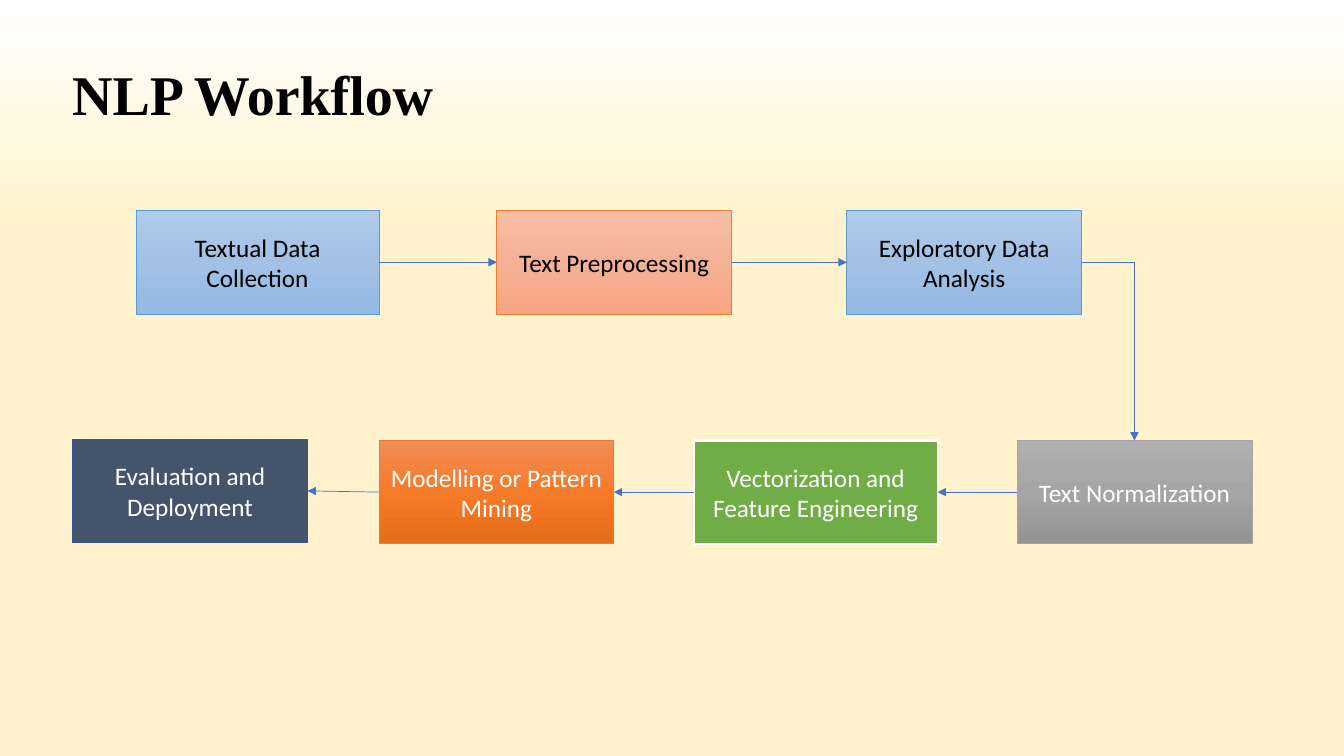
from lxml.etree import SubElement
from pptx import Presentation
from pptx.dml.color import RGBColor as RGB
from pptx.enum.shapes import MSO_CONNECTOR as LINK, MSO_SHAPE as SHAPE
from pptx.enum.text import MSO_ANCHOR as ANCHOR, PP_ALIGN as ALIGN
from pptx.oxml.ns import qn
from pptx.util import Cm, Pt

HEX = {
    "black": "000000", "white": "FFFFFF", "cream": "FFF2CC", "arrow": "4472C4",
    "blue": "5B9BD5", "orange": "ED7D31", "gray": "A5A5A5",
    "green": "70AD47", "slate": "44546A", "navy": "325491",
}
SKY = ["B1CBE9", "A3C1E5", "93B9E4"]
PEACH = ["F7BDA5", "F5B196", "F8A582"]
STEEL = ["AFAFAF", "A5A5A5", "939393"]
FLAME = ["F18C57", "F67B28", "E56C19"]


def blend(fill, root, stops, angle):
    """Fill with a gradient of (percent, colour) stops."""
    fill.gradient()
    fill.gradient_angle = angle
    ramp = root.find(".//" + qn("a:gsLst"))
    for old in list(ramp):
        ramp.remove(old)
    for pos, tone in stops:
        stop = SubElement(ramp, qn("a:gs"), pos=str(pos * 1000))
        SubElement(stop, qn("a:srgbClr"), val=tone)


def write(frame, text, form, tone, align, space):
    """Put one styled paragraph into a text frame."""
    frame.word_wrap = True
    frame.vertical_anchor = ANCHOR.MIDDLE
    para = frame.paragraphs[0]
    para.alignment, para.line_spacing = align, space
    run = para.add_run()
    run.text = text
    for key, val in form.items():
        setattr(run.font, key, val)
    run.font.color.rgb = RGB.from_string(HEX[tone])


deck = Presentation()
deck.slide_width, deck.slide_height = Cm(33.87), Cm(19.05)
slide = deck.slides.add_slide(deck.slide_layouts[6])

# Background
blend(slide.background.fill, slide.element.cSld,
      [(70, HEX["cream"]), (100, HEX["white"])], 90)

# Title
title = slide.shapes.add_textbox(Cm(1.57), Cm(0.61), Cm(29.21), Cm(3.68))
write(title.text_frame, "NLP Workflow",
      {"name": "Times New Roman", "size": Pt(40), "bold": True},
      "black", ALIGN.LEFT, 0.9)

# Steps in order of flow: text, left, top, width, fill, edge, edge points, text colour
steps = [
    ("Textual Data Collection", 3.43, 5.31, 6.12, SKY, "blue", 0.5, "black"),
    ("Text Preprocessing", 12.52, 5.31, 5.92, PEACH, "orange", 0.5, "black"),
    ("Exploratory Data Analysis", 21.34, 5.31, 5.92, SKY, "blue", 0.5, "black"),
    ("Text Normalization", 25.63, 11.1, 5.92, STEEL, "gray", 0.5, "white"),
    ("Vectorization and Feature Engineering", 17.48, 11.1, 6.15,
     "green", "white", 1.5, "white"),
    ("Modelling or Pattern Mining", 9.55, 11.1, 5.92, FLAME, "orange", 0.5, "white"),
    ("Evaluation and Deployment", 1.83, 11.07, 5.92, "slate", "navy", 1, "white"),
]
body = {"name": "Calibri", "size": Pt(18)}
boxes = []
for text, left, top, width, paint, edge, thick, tone in steps:
    box = slide.shapes.add_shape(SHAPE.FLOWCHART_PROCESS,
                                 Cm(left), Cm(top), Cm(width), Cm(2.6))
    box.shadow.inherit = False
    if paint in HEX.values() or isinstance(paint, str):
        box.fill.solid()
        box.fill.fore_color.rgb = RGB.from_string(HEX[paint])
    else:
        blend(box.fill, box.element.spPr, zip((0, 50, 100), paint), 270)
    box.line.color.rgb = RGB.from_string(HEX[edge])
    box.line.width = Pt(thick)
    write(box.text_frame, text, body, tone, ALIGN.CENTER, 1)
    boxes.append(box)

# Arrows between neighbours: sites are 0 top, 1 left, 3 right
sites = [(3, 1), (3, 1), (3, 0), (1, 3), (1, 3), (1, 3)]
for start, end, (out, into) in zip(boxes, boxes[1:], sites):
    bent = into == 0
    link = slide.shapes.add_connector(LINK.ELBOW if bent else LINK.STRAIGHT, 0, 0, 0, 0)
    link.begin_connect(start, out)
    link.end_connect(end, into)
    link.line.color.rgb = RGB.from_string(HEX["arrow"])
    link.line.width = Pt(0.5)
    props = link.element.spPr
    if bent:
        props.find(qn("a:prstGeom")).set("prst", "bentConnector2")
    SubElement(props.find(qn("a:ln")), qn("a:tailEnd"), type="triangle")
    SubElement(props, qn("a:effectLst"))

deck.save("out.pptx")
